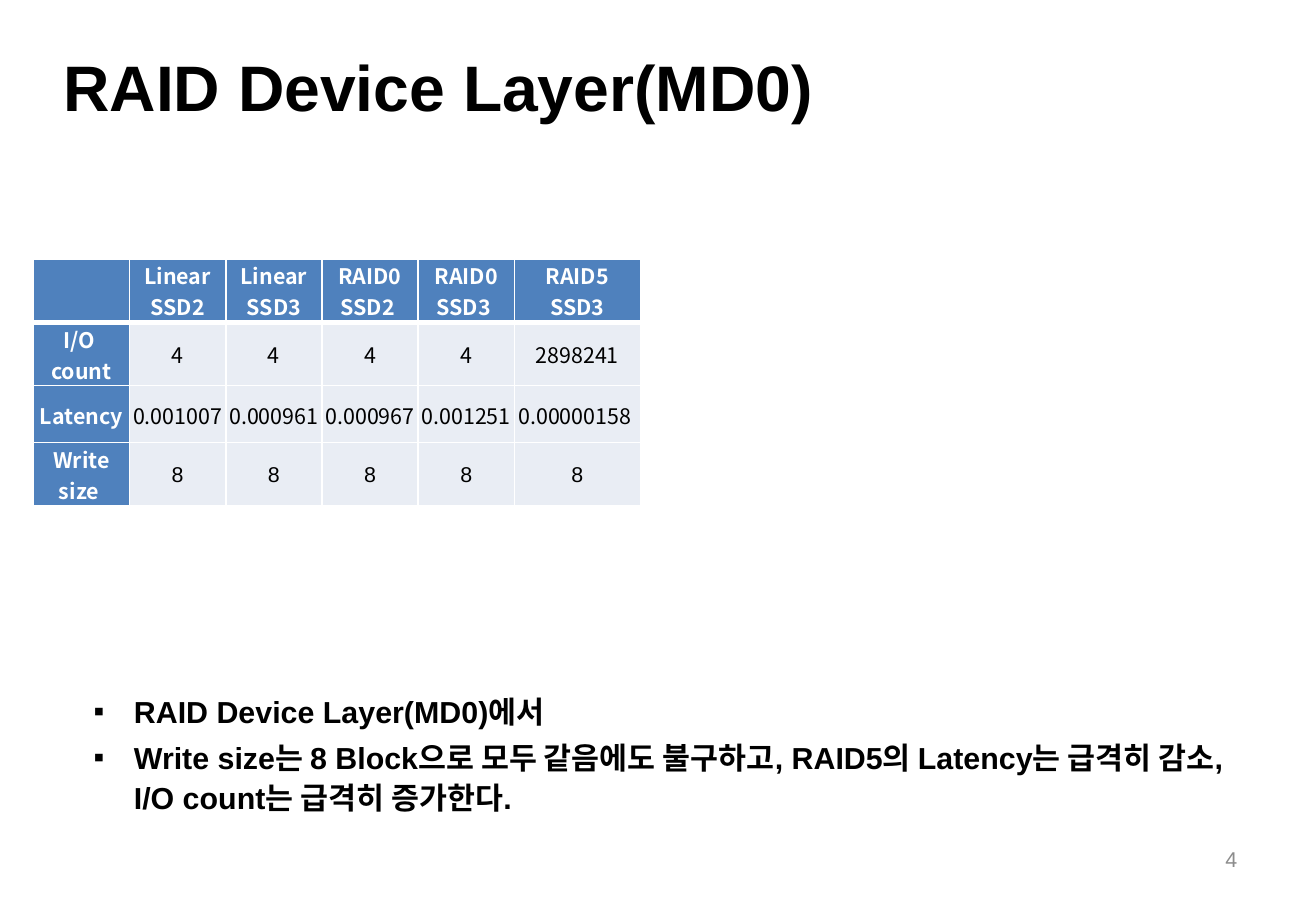
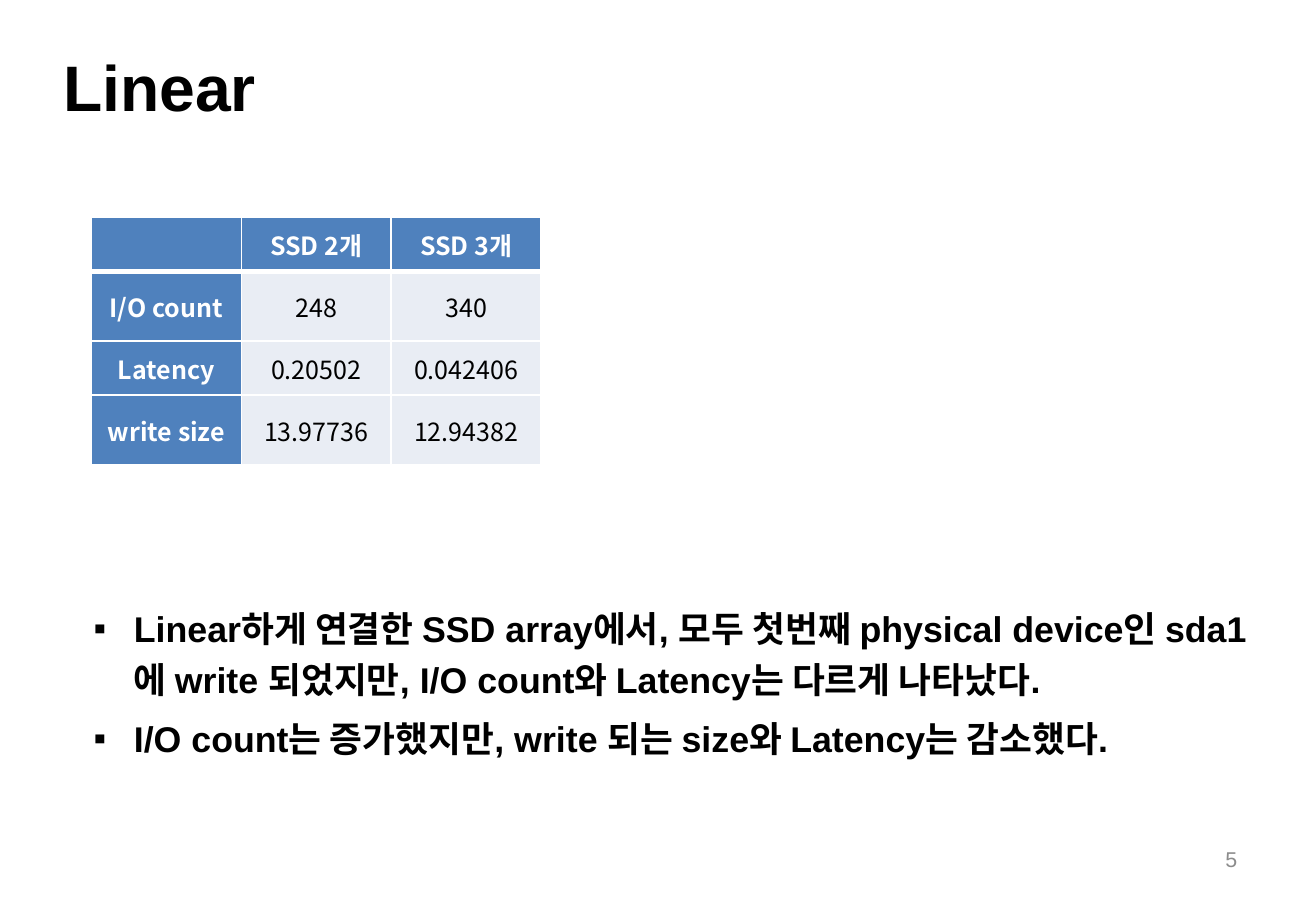
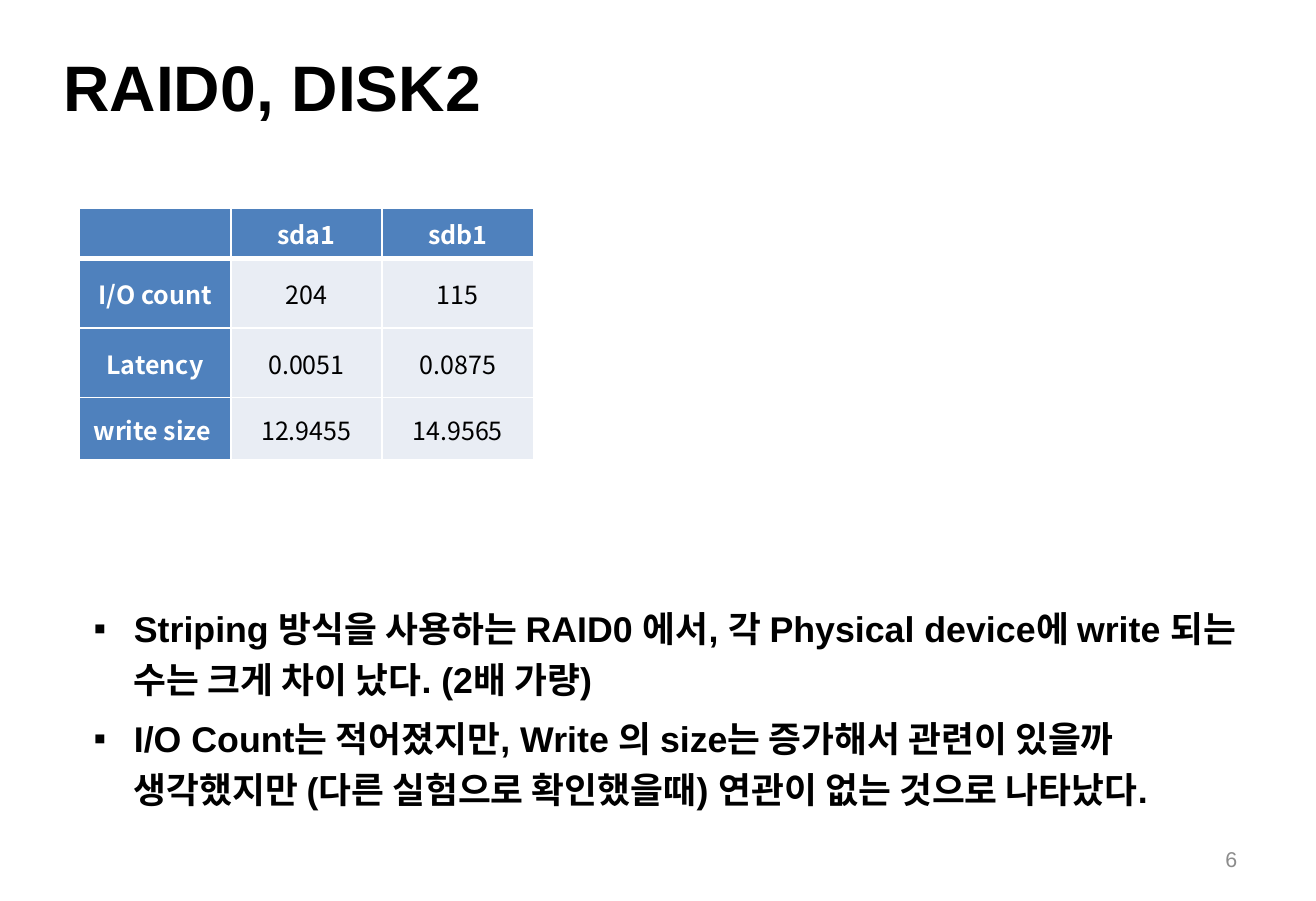
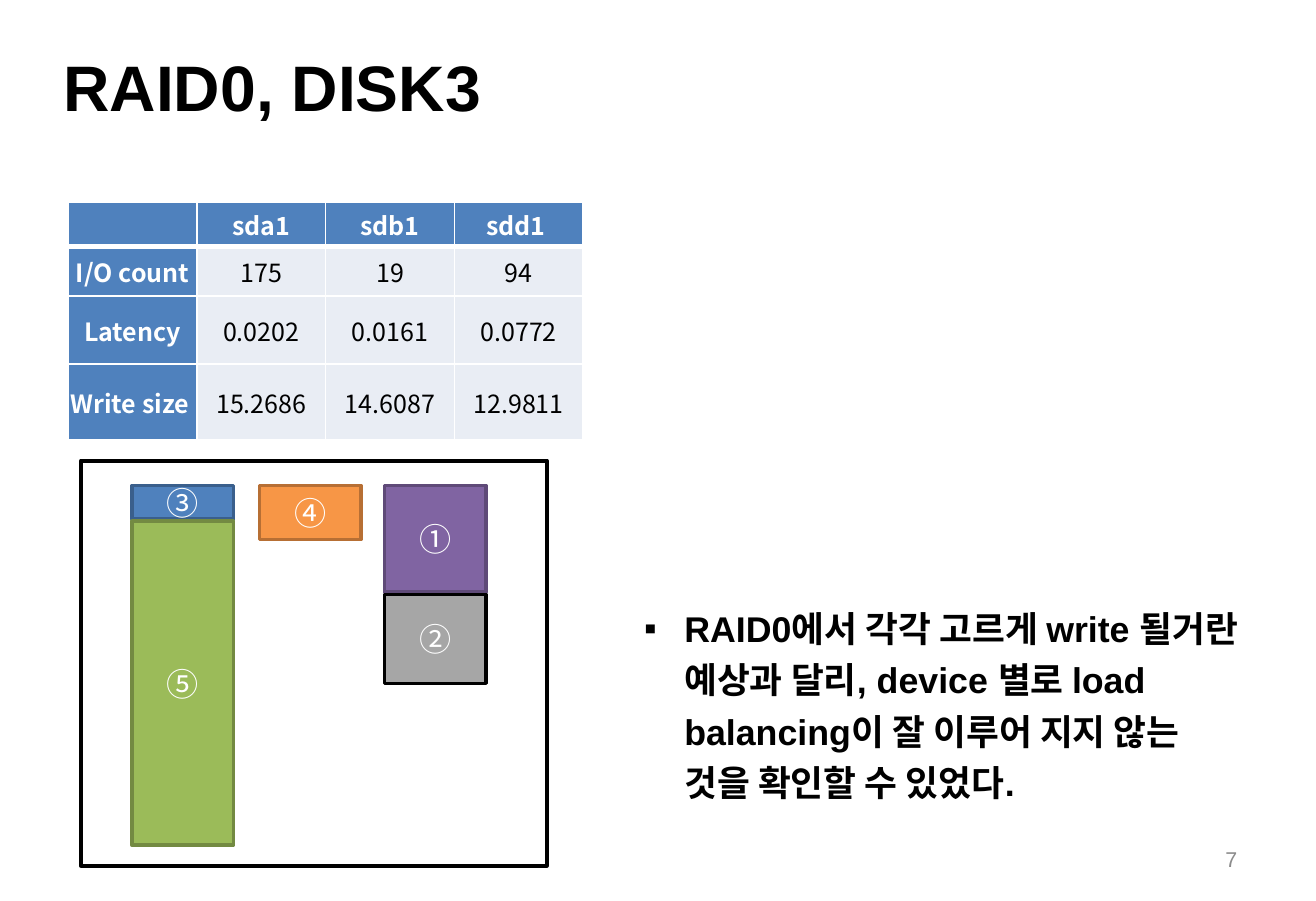
from lxml.etree import SubElement
from pptx import Presentation
from pptx.dml.color import RGBColor
from pptx.enum.shapes import MSO_SHAPE
from pptx.enum.text import MSO_ANCHOR, PP_ALIGN
from pptx.oxml.ns import qn
from pptx.util import Pt

COLORS = {
    "black": "000000", "white": "FFFFFF", "page": "8C8C8C",
    "header": "4F81BD", "value": "E9EDF4",
    "blue": "4F81BD", "blue_line": "3A5F8C",
    "green": "9BBB59", "green_line": "738A42",
    "orange": "F79646", "orange_line": "B76F34",
    "purple": "8064A2", "purple_line": "5F4A78",
    "gray": "A6A6A6",
}
LATIN = "Arial"
KOREAN = "Noto Sans CJK KR"

SLIDES = [
    {
        "title": "RAID Device Layer(MD0)",
        "table": {
            "at": (18.7, 145), "size": 12, "last_row_font": LATIN,
            "columns": [53.9] * 5 + [70.6], "rows": [35.5, 35.5, 32, 35.5],
            "cells": [
                ["", "Linear\nSSD2", "Linear\nSSD3", "RAID0\nSSD2 ", "RAID0\nSSD3 ", "RAID5\nSSD3"],
                ["I/O \ncount", "4", "4", "4", "4", "2898241"],
                ["Latency", "0.001007", "0.000961", "0.000967", "0.001251", "0.00000158 "],
                ["Write size ", "8", "8", "8", "8", "8"],
            ],
        },
        "body": {
            "box": (45.4, 382.6, 663, 79), "size": 17, "spacing": 1.1,
            "bullets": [
                "RAID Device Layer(MD0)에서",
                "Write size는 8 Block으로 모두 같음에도 불구하고, RAID5의 Latency는 급격히 감소, I/O count는 급격히 증가한다.",
            ],
        },
    },
    {
        "title": "Linear",
        "table": {
            "at": (51.2, 121.8), "size": 14, "last_row_font": KOREAN,
            "columns": [84] * 3, "rows": [30.2, 39, 30.2, 39],
            "cells": [
                ["", "SSD 2개", "SSD 3개"],
                ["I/O count", "248", "340"],
                ["Latency", "0.20502", "0.042406"],
                ["write size", "13.97736", "12.94382"],
            ],
        },
        "body": {
            "box": (45.4, 331.5, 663, 136), "size": 20, "spacing": 1.2,
            "bullets": [
                "Linear하게 연결한 SSD array에서, 모두 첫번째 physical device인 sda1에 write 되었지만, I/O count와 Latency는 다르게 나타났다.",
                "I/O count는 증가했지만, write 되는 size와 Latency는 감소했다.",
            ],
        },
    },
    {
        "title": "RAID0, DISK2",
        "table": {
            "at": (44.5, 116.7), "size": 14, "last_row_font": KOREAN,
            "columns": [84.8] * 3, "rows": [28, 39, 39, 35],
            "cells": [
                ["", "sda1", "sdb1"],
                ["I/O count", "204", "115"],
                ["Latency", "0.0051", "0.0875"],
                ["write size ", "12.9455", "14.9565"],
            ],
        },
        "body": {
            "box": (45.4, 331.5, 663, 136), "size": 20, "spacing": 1.2,
            "bullets": [
                "Striping 방식을 사용하는 RAID0 에서, 각 Physical device에 write 되는 수는 크게 차이 났다. (2배 가량)",
                "I/O Count는 적어졌지만, Write 의 size는 증가해서 관련이 있을까 생각했지만 (다른 실험으로 확인했을때) 연관이 없는 것으로 나타났다.",
            ],
        },
    },
    {
        "title": "RAID0, DISK3",
        "table": {
            "at": (38.3, 113.2), "size": 14, "last_row_font": KOREAN,
            "columns": [72.1] * 4, "rows": [24.8, 28, 38, 42.5],
            "cells": [
                ["", "sda1", "sdb1", "sdd1 "],
                ["I/O count", "175", "19", "94"],
                ["Latency", "0.0202", "0.0161", "0.0772"],
                ["Write size ", "15.2686", "14.6087", "12.9811"],
            ],
        },
        "body": {
            "box": (353.8, 331.5, 355, 125), "size": 20, "spacing": 1.2,
            "bullets": [
                "RAID0에서 각각 고르게 write 될거란 예상과 달리, device 별로 load balancing이 잘 이루어 지지 않는 것을 확인할 수 있었다.",
            ],
        },
    },
]

BLOCK_STACKS = [
    (73.9, [("③", 18.7, "blue", "blue_line"), ("⑤", 181.5, "green", "green_line")]),
    (145.3, [("④", 30.2, "orange", "orange_line")]),
    (215.4, [("①", 59.8, "purple", "purple_line"), ("②", 49.7, "gray", "black")]),
]
STACK_TOP, BLOCK_WIDTH, BLOCK_GAP = 272, 56.9, 1.3


def style_text(text_frame, size, color, font=LATIN, bold=False, align=PP_ALIGN.LEFT):
    for paragraph in text_frame.paragraphs:
        paragraph.alignment = align
        for run in paragraph.runs:
            run.font.size = Pt(size)
            run.font.bold = bold
            run.font.name = font
            run.font.color.rgb = RGBColor.from_string(COLORS[color])
            SubElement(run.font._element, qn("a:ea"), typeface=KOREAN)


def add_text(slide, box, text, anchor):
    text_frame = slide.shapes.add_textbox(*map(Pt, box)).text_frame
    text_frame.word_wrap = True
    text_frame.vertical_anchor = anchor
    text_frame.text = text
    return text_frame


presentation = Presentation()
presentation.slide_width = Pt(737.28)
presentation.slide_height = Pt(504.72)

for number, content in enumerate(SLIDES, start=4):
    slide = presentation.slides.add_slide(presentation.slide_layouts[6])

    title = add_text(slide, (28.4, 19.5, 680, 57), content["title"], MSO_ANCHOR.MIDDLE)
    style_text(title, 36, "black", bold=True)

    page = add_text(slide, (528.2, 468, 172, 26.6), str(number), MSO_ANCHOR.MIDDLE)
    style_text(page, 12, "page", align=PP_ALIGN.RIGHT)

    data = content["table"]
    columns, rows = data["columns"], data["rows"]
    left, top = data["at"]
    frame = slide.shapes.add_table(
        len(rows), len(columns), Pt(left), Pt(top), Pt(sum(columns)), Pt(sum(rows)))
    table = frame.table
    table.horz_banding = False
    for column, width in zip(table.columns, columns):
        column.width = Pt(width)
    for row_index, values in enumerate(data["cells"]):
        table.rows[row_index].height = Pt(rows[row_index])
        for column_index, value in enumerate(values):
            cell = table.cell(row_index, column_index)
            is_header = row_index == 0 or column_index == 0
            is_last_row = row_index == len(rows) - 1
            cell.margin_left = cell.margin_right = cell.margin_top = Pt(0.7)
            cell.margin_bottom = 0
            cell.vertical_anchor = MSO_ANCHOR.MIDDLE
            cell.text_frame.text = value
            style_text(
                cell.text_frame, data["size"], "white" if is_header else "black",
                font=data["last_row_font"] if is_last_row and not is_header else KOREAN,
                bold=is_header, align=PP_ALIGN.CENTER)
            properties = cell._tc.get_or_add_tcPr()
            for side in ("lnL", "lnR", "lnT", "lnB"):
                below_header = (row_index, side) in ((0, "lnB"), (1, "lnT"))
                line = SubElement(properties, qn(f"a:{side}"), w=str(Pt(3 if below_header else 1)))
                line_fill = SubElement(line, qn("a:solidFill"))
                SubElement(line_fill, qn("a:srgbClr"), val=COLORS["white"])
            cell.fill.solid()
            cell.fill.fore_color.rgb = RGBColor.from_string(
                COLORS["header" if is_header else "value"])

    body = content["body"]
    text_frame = add_text(slide, body["box"], "\n".join(body["bullets"]), MSO_ANCHOR.TOP)
    style_text(text_frame, body["size"], "black", bold=True)
    for paragraph in text_frame.paragraphs:
        paragraph.line_spacing = body["spacing"]
        paragraph.space_before = Pt(body["size"] * 0.2)
        properties = paragraph._p.get_or_add_pPr()
        properties.set("marL", str(Pt(22.5)))
        properties.set("indent", str(Pt(-22.5)))
        SubElement(properties, qn("a:buFont"), typeface=LATIN)
        SubElement(properties, qn("a:buChar"), char="▪")

for left, blocks in BLOCK_STACKS:
    top = STACK_TOP
    for label, height, fill, line in blocks:
        block = slide.shapes.add_shape(
            MSO_SHAPE.RECTANGLE, Pt(left), Pt(top), Pt(BLOCK_WIDTH), Pt(height))
        block.shadow.inherit = False
        block.fill.solid()
        block.fill.fore_color.rgb = RGBColor.from_string(COLORS[fill])
        block.line.color.rgb = RGBColor.from_string(COLORS[line])
        block.line.width = Pt(2)
        block.text_frame.text = label
        block.text_frame.vertical_anchor = MSO_ANCHOR.MIDDLE
        style_text(block.text_frame, 18, "white", font=KOREAN, align=PP_ALIGN.CENTER)
        top += height + BLOCK_GAP

array_frame = slide.shapes.add_shape(
    MSO_SHAPE.RECTANGLE, Pt(45.4), Pt(258), Pt(261), Pt(227))
array_frame.shadow.inherit = False
array_frame.fill.background()
array_frame.line.color.rgb = RGBColor.from_string(COLORS["black"])
array_frame.line.width = Pt(2.25)

presentation.save("out.pptx")
